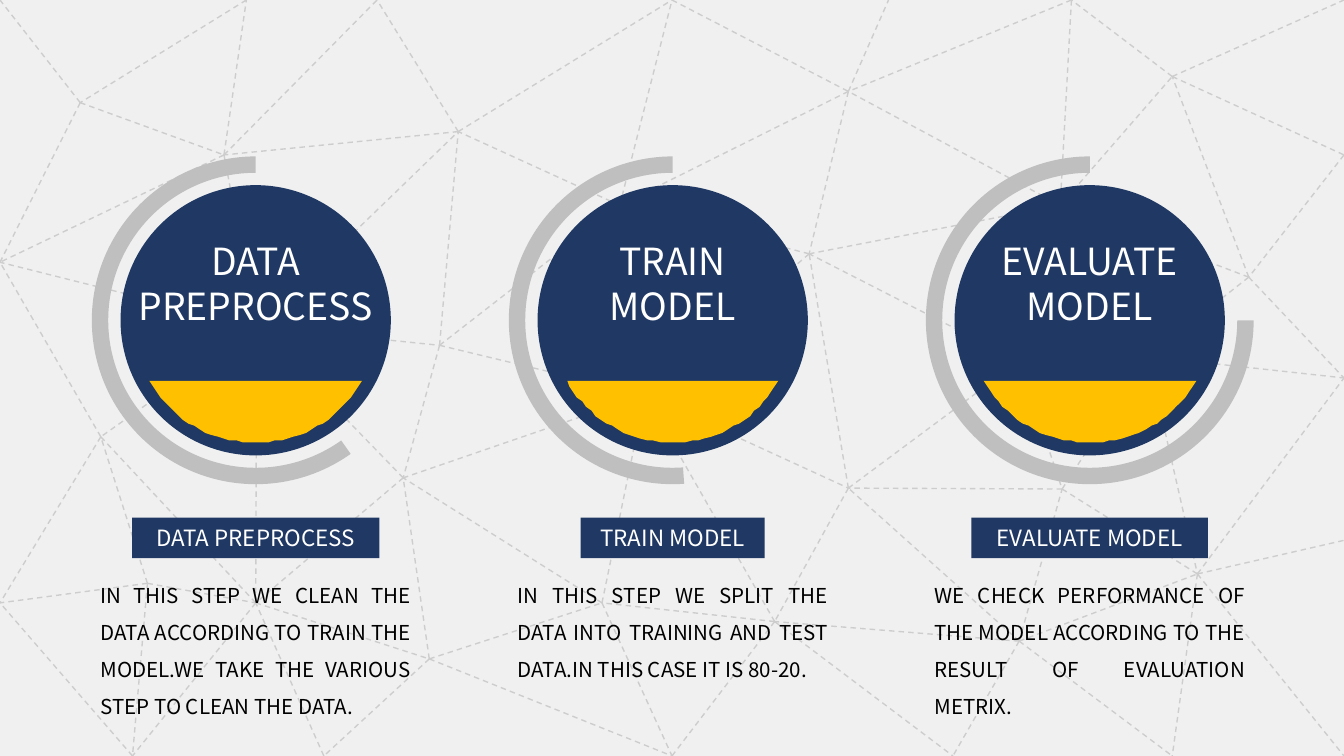
import math

from lxml import etree
from pptx import Presentation
from pptx.dml.color import RGBColor
from pptx.enum import dml, shapes, text
from pptx.oxml import ns
from pptx.util import Pt

WIDTH, HEIGHT = 720, 405
NAVY = RGBColor(0x20, 0x38, 0x64)
GOLD = RGBColor(0xFF, 0xC0, 0x00)
RING_GREY = RGBColor(0xBF, 0xBF, 0xBF)
MESH_GREY = RGBColor(0xCD, 0xCD, 0xCD)
PAPER = RGBColor(0xF0, 0xF0, 0xF0)
WHITE = RGBColor(0xFF, 0xFF, 0xFF)
BLACK = RGBColor(0x00, 0x00, 0x00)
FONT = "Noto Sans CJK SC"

FIRST_CENTER, COLUMN_STEP, CENTER_Y = 137, 223.4, 171.6
DISC_RADIUS, RING_RADIUS, BOWL_RADIUS = 72.4, 87.8, 65.6

NODES = [
    (0, 0), (132, 0), (202, 0), (360, 0), (476, 0), (574, 0), (720, 0),
    (43, 55), (120, 83), (0, 140.5), (245.5, 70.5), (137.5, 175),
    (235.5, 185), (216, 256), (137, 323), (54, 234), (0, 323),
    (79, 312.5), (71, 405), (230, 353), (173.5, 405), (322.5, 323),
    (360, 405), (345.5, 211.5), (332, 110), (454.5, 49), (433.5, 136),
    (454.5, 261.5), (415, 333), (568, 110), (546, 193.5), (569, 262),
    (546, 343.5), (510.5, 405), (628, 405), (615, 191), (628, 41),
    (720, 83), (669, 148.5), (720, 202.5), (641.5, 307.5), (720, 405),
    (720, 289.5),
]
# Each node number with the nodes it is joined to.
EDGES = {
    1: [7], 3: [25], 5: [29, 25], 7: [8, 9, 0], 8: [1, 9, 2, 11],
    10: [8, 2, 3], 11: [10, 9, 12, 15], 12: [13, 10, 24, 23],
    13: [11, 14], 14: [11, 18, 19], 15: [14, 9, 16],
    17: [16, 15, 14, 18], 18: [16], 19: [13, 20, 21, 22], 20: [14],
    21: [22, 13, 23], 23: [13, 27], 24: [23, 10, 3], 25: [24, 26, 4],
    26: [24, 23], 27: [26, 28, 30], 28: [21, 22, 23, 33],
    29: [25, 26, 36], 30: [29, 31, 26], 31: [27, 40, 35],
    32: [27, 33, 28, 31, 34, 40], 35: [29, 39, 30, 40],
    36: [5, 6, 37], 37: [38], 38: [36, 29, 35, 39],
    40: [39, 41, 34, 42],
}

STEPS = [
    dict(title=["DATA", "PREPROCESS"], title_width=150.5, label_width=132.5,
         ring_start=54.6, body_height=107,
         body="IN THIS STEP WE CLEAN THE DATA ACCORDING TO TRAIN THE MODEL."
              "WE TAKE THE VARIOUS STEP TO CLEAN THE DATA."),
    dict(title=["TRAIN", "MODEL"], title_width=88.5, label_width=98.6,
         ring_start=86, body_height=87,
         body="IN THIS STEP WE SPLIT THE DATA INTO TRAINING AND TEST DATA."
              "IN THIS CASE IT IS 80-20."),
    dict(title=["EVALUATE", "MODEL"], title_width=120, label_width=126.7,
         ring_start=0, body_height=87,
         body="WE CHECK PERFORMANCE OF THE MODEL ACCORDING TO THE RESULT "
              "OF EVALUATION METRIX."),
]


def paint(shape, color):
    """Give a flat fill with neither outline nor shadow."""
    shape.shadow.inherit = False
    shape.fill.solid()
    shape.fill.fore_color.rgb = color
    shape.line.fill.background()


def add_block(slide, kind, left, top, width, height, color):
    shape = slide.shapes.add_shape(kind, Pt(left), Pt(top), Pt(width), Pt(height))
    paint(shape, color)
    return shape


def add_round(slide, kind, center_x, radius, color):
    return add_block(slide, kind, center_x - radius, CENTER_Y - radius,
                     2 * radius, 2 * radius, color)


def add_mesh(slide):
    for start, ends in EDGES.items():
        for end in ends:
            points = [Pt(value) for value in NODES[start] + NODES[end]]
            line = slide.shapes.add_connector(shapes.MSO_CONNECTOR.STRAIGHT, *points)
            line.line.color.rgb = MESH_GREY
            line.line.width = Pt(0.75)
            line.line.dash_style = dml.MSO_LINE.DASH
            etree.SubElement(line._element.spPr, ns.qn("a:effectLst"))


def add_ring(slide, center_x, start):
    """Draw a ring clockwise from the start angle to the top."""
    ring = add_round(slide, shapes.MSO_SHAPE.BLOCK_ARC, center_x, RING_RADIUS, RING_GREY)
    # Angles are stored in 60000ths of a degree, adjustments in 100000ths.
    for index, value in enumerate((start * 0.6, 270 * 0.6, 0.05)):
        ring.adjustments[index] = value


def add_bowl(slide, center_x):
    """Draw the lower circle segment between 30 and 150 degrees."""
    points = [(center_x + BOWL_RADIUS * math.cos(math.radians(angle)),
               CENTER_Y + BOWL_RADIUS * math.sin(math.radians(angle)))
              for angle in range(30, 151, 3)]
    builder = slide.shapes.build_freeform(*points[0], scale=Pt(1))
    builder.add_line_segments(points[1:], close=True)
    paint(builder.convert_to_shape(), GOLD)


def write(shape, lines, size, color, align, spacing, **frame_format):
    frame = shape.text_frame
    for name, value in frame_format.items():
        setattr(frame, name, value)
    for index, line in enumerate(lines):
        paragraph = frame.add_paragraph() if index else frame.paragraphs[0]
        paragraph.alignment = align
        paragraph.line_spacing = Pt(spacing)
        run = paragraph.add_run()
        run.text = line
        for name, value in dict(size=Pt(size), name=FONT).items():
            setattr(run.font, name, value)
        run.font.color.rgb = color


def add_text(slide, center_x, top, width, height, *args, **frame_format):
    box = slide.shapes.add_textbox(Pt(center_x - width / 2), Pt(top),
                                   Pt(width), Pt(height))
    write(box, *args, **frame_format)


def add_step(slide, center_x, step):
    center = text.PP_ALIGN.CENTER
    add_round(slide, shapes.MSO_SHAPE.OVAL, center_x, DISC_RADIUS, NAVY)
    add_bowl(slide, center_x)
    add_text(slide, center_x, 124, step["title_width"], 55.4,
             step["title"], 20, WHITE, center, 24, word_wrap=False)
    add_ring(slide, center_x, step["ring_start"])
    width = step["label_width"]
    label = add_block(slide, shapes.MSO_SHAPE.RECTANGLE, center_x - width / 2,
                      277.3, width, 21.7, NAVY)
    write(label, [" ".join(step["title"])], 12, WHITE, center, 14.4,
          word_wrap=False, vertical_anchor=text.MSO_ANCHOR.MIDDLE)
    add_text(slide, center_x, 302.4, 180.6, step["body_height"],
             [step["body"]], 11, BLACK, text.PP_ALIGN.JUSTIFY, 19.8, word_wrap=True)


def main():
    presentation = Presentation()
    presentation.slide_width, presentation.slide_height = Pt(WIDTH), Pt(HEIGHT)
    slide = presentation.slides.add_slide(presentation.slide_layouts[6])
    add_block(slide, shapes.MSO_SHAPE.RECTANGLE, 0, 0, WIDTH, HEIGHT, PAPER)
    add_mesh(slide)
    for index, step in enumerate(STEPS):
        add_step(slide, FIRST_CENTER + index * COLUMN_STEP, step)
    presentation.save("out.pptx")


if __name__ == "__main__":
    main()
